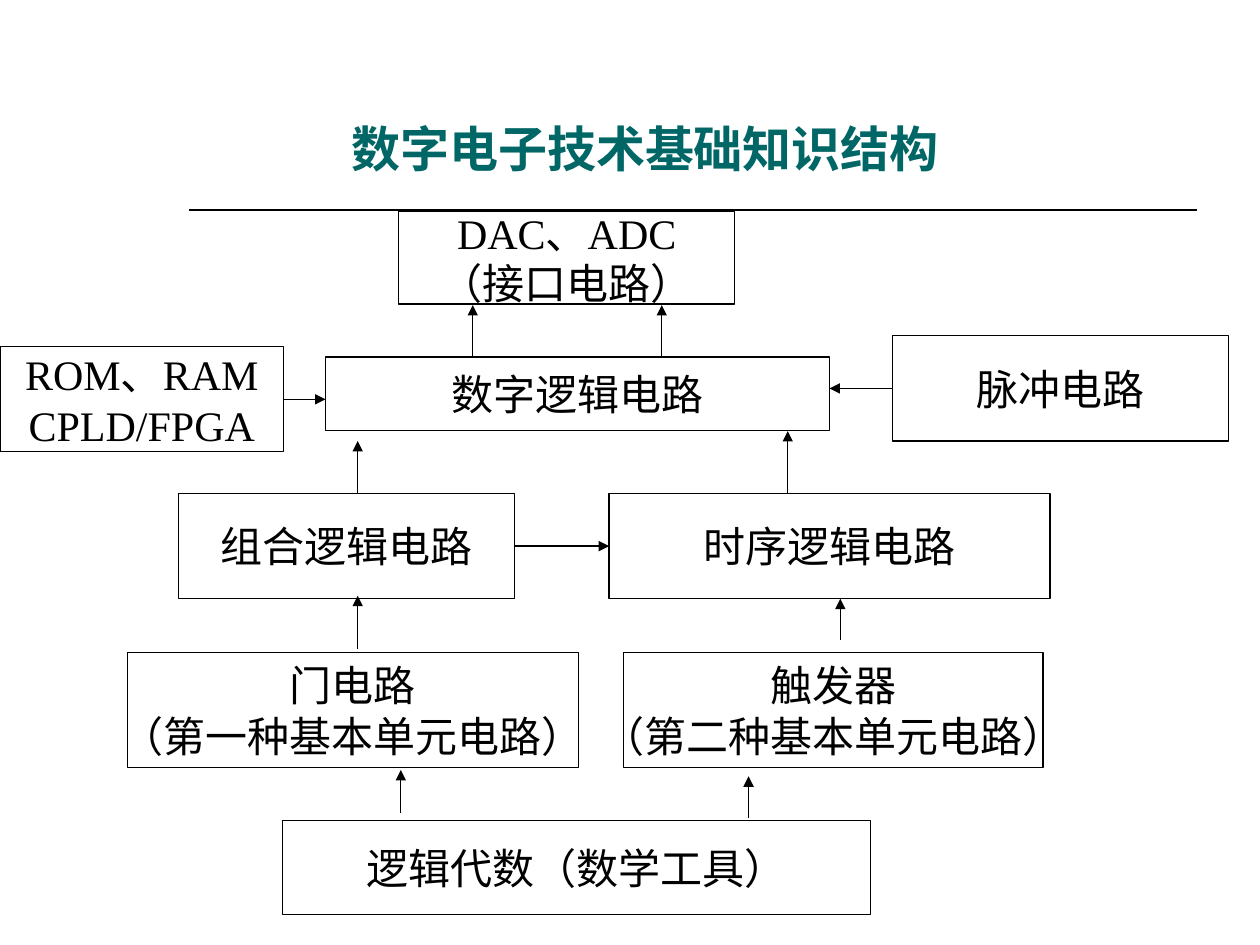
from lxml import etree
from pptx import Presentation
from pptx import util as u
from pptx.dml.color import RGBColor
from pptx.enum import shapes, text
from pptx.oxml.ns import qn

BLACK = RGBColor(0x00, 0x00, 0x00)
TEAL = RGBColor(0x00, 0x66, 0x66)

TOP, LEFT, BOTTOM, RIGHT = range(4)


def write(shape, content, font="Times New Roman", size=24, color=BLACK,
          bold=False, anchor=text.MSO_ANCHOR.MIDDLE, wrap=False):
    """Fill a shape with centred text, one paragraph per line."""
    tf = shape.text_frame
    tf.word_wrap = wrap
    tf.vertical_anchor = anchor
    for i, line in enumerate(content.split("\n")):
        p = tf.add_paragraph() if i else tf.paragraphs[0]
        p.alignment = text.PP_ALIGN.CENTER
        r = p.add_run()
        r.text = line
        r.font.name = font
        r.font.size = u.Pt(size)
        r.font.bold = bold
        r.font.color.rgb = color


class Diagram:
    line_width = u.Pt(0.75)

    def __init__(self, slide):
        self.s = slide

    def title(self, content, *at):
        sp = self.s.shapes.add_textbox(*map(u.Cm, at))
        write(sp, content, font="Arial", size=28, color=TEAL, bold=True,
              anchor=text.MSO_ANCHOR.BOTTOM, wrap=True)

    def box(self, content, *at):
        sp = self.s.shapes.add_shape(shapes.MSO_SHAPE.RECTANGLE, *map(u.Cm, at))
        sp.shadow.inherit = False
        sp.fill.background()
        sp.line.color.rgb = BLACK
        sp.line.width = self.line_width
        write(sp, content)
        return sp

    def line(self, *ends, width=line_width):
        c = self.s.shapes.add_connector(shapes.MSO_CONNECTOR.STRAIGHT,
                                        *map(u.Cm, ends))
        c.line.color.rgb = BLACK
        c.line.width = width
        etree.SubElement(c._element.spPr, qn("a:effectLst"))
        return c

    def arrow(self, *ends, begin=None, end=None):
        """Draw an arrow; begin and end are optional (box, side) joints."""
        c = self.line(*ends)
        etree.SubElement(c.line._get_or_add_ln(), qn("a:tailEnd"), type="triangle")
        if begin:
            c.begin_connect(*begin)
        if end:
            c.end_connect(*end)


def main():
    prs = Presentation()
    prs.slide_width, prs.slide_height = u.Cm(25.4), u.Cm(19.05)
    d = Diagram(prs.slides.add_slide(prs.slide_layouts[6]))

    d.line(3.81, 4.24, 24.13, 4.24, width=u.Pt(1))
    d.title("数字电子技术基础知识结构", 2.21, 0.53, 21.59, 3.18)

    d.box("逻辑代数（数学工具）", 5.69, 16.54, 11.86, 1.9)
    d.box("触发器\n（第二种基本单元电路）", 12.57, 13.16, 8.46, 2.32)
    d.box("门电路\n（第一种基本单元电路）", 2.57, 13.16, 9.09, 2.32)
    combinational = d.box("组合逻辑电路", 3.6, 9.95, 6.77, 2.12)
    sequential = d.box("时序逻辑电路", 12.28, 9.95, 8.89, 2.12)
    d.box("DAC、ADC\n（接口电路）", 8.04, 4.26, 6.77, 1.87)
    pulse = d.box("脉冲电路", 17.99, 6.77, 6.77, 2.12)
    memory = d.box("ROM、RAM\nCPLD/FPGA", 0, 6.99, 5.72, 2.12)
    d.box("数字逻辑电路", 6.56, 7.2, 10.16, 1.48)

    # Upward arrows: x, start y, end y
    for x, y1, y2 in [
        (8.08, 16.38, 15.52), (15.09, 16.48, 15.65),
        (7.21, 13.08, 12.01), (16.94, 12.9, 12.07),
        (7.21, 9.95, 8.89), (15.88, 9.95, 8.69),
        (9.53, 7.2, 6.15), (13.34, 7.2, 6.15),
    ]:
        d.arrow(x, y1, x, y2)

    d.arrow(10.37, 11.01, 12.28, 11.01,
            begin=(combinational, RIGHT), end=(sequential, LEFT))
    d.arrow(17.99, 7.83, 16.72, 7.83, begin=(pulse, LEFT))
    d.arrow(5.72, 8.05, 6.56, 8.05, begin=(memory, RIGHT))

    prs.save("out.pptx")


if __name__ == "__main__":
    main()
